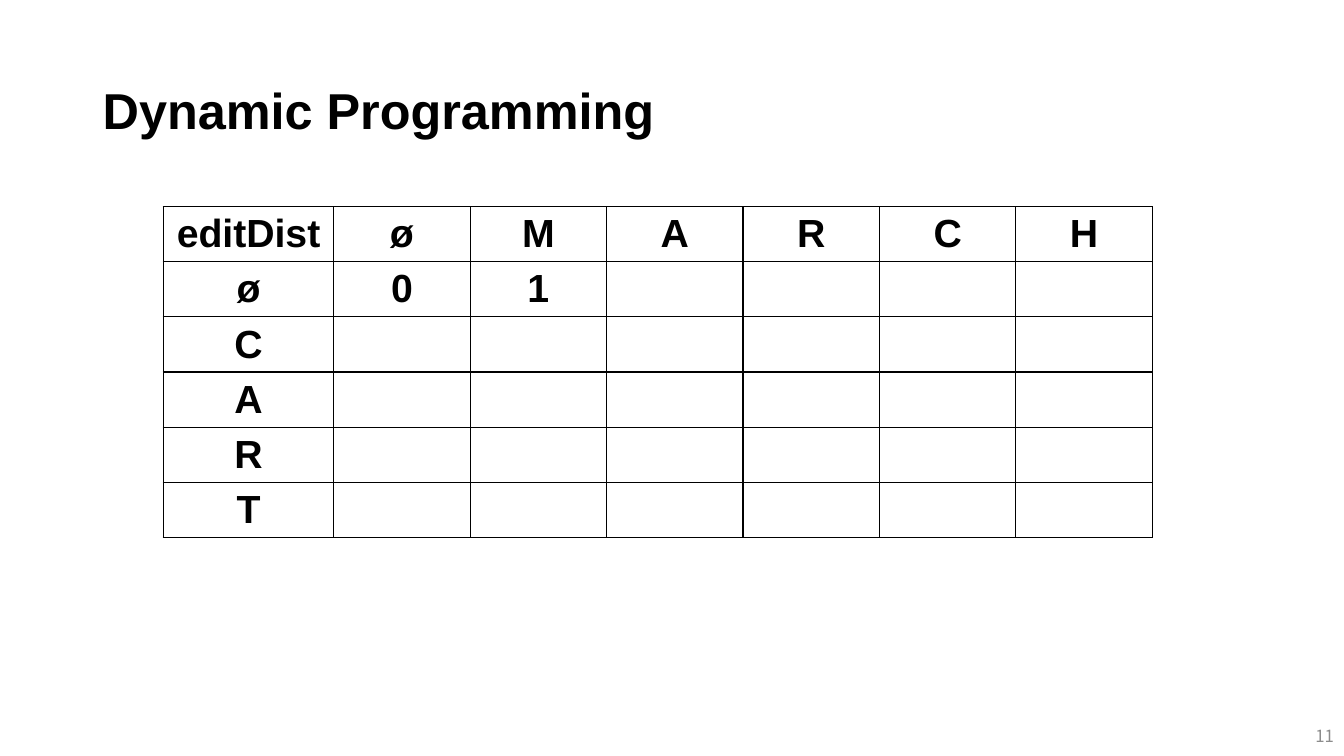
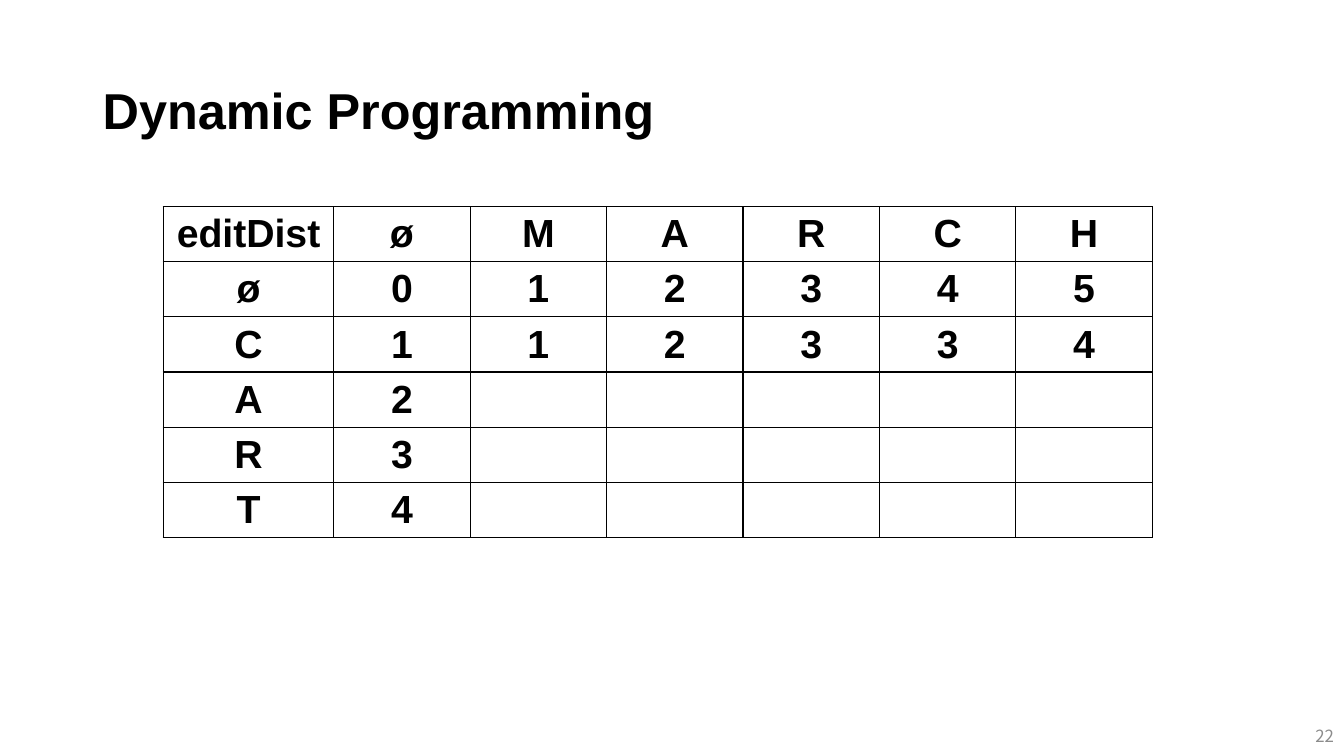
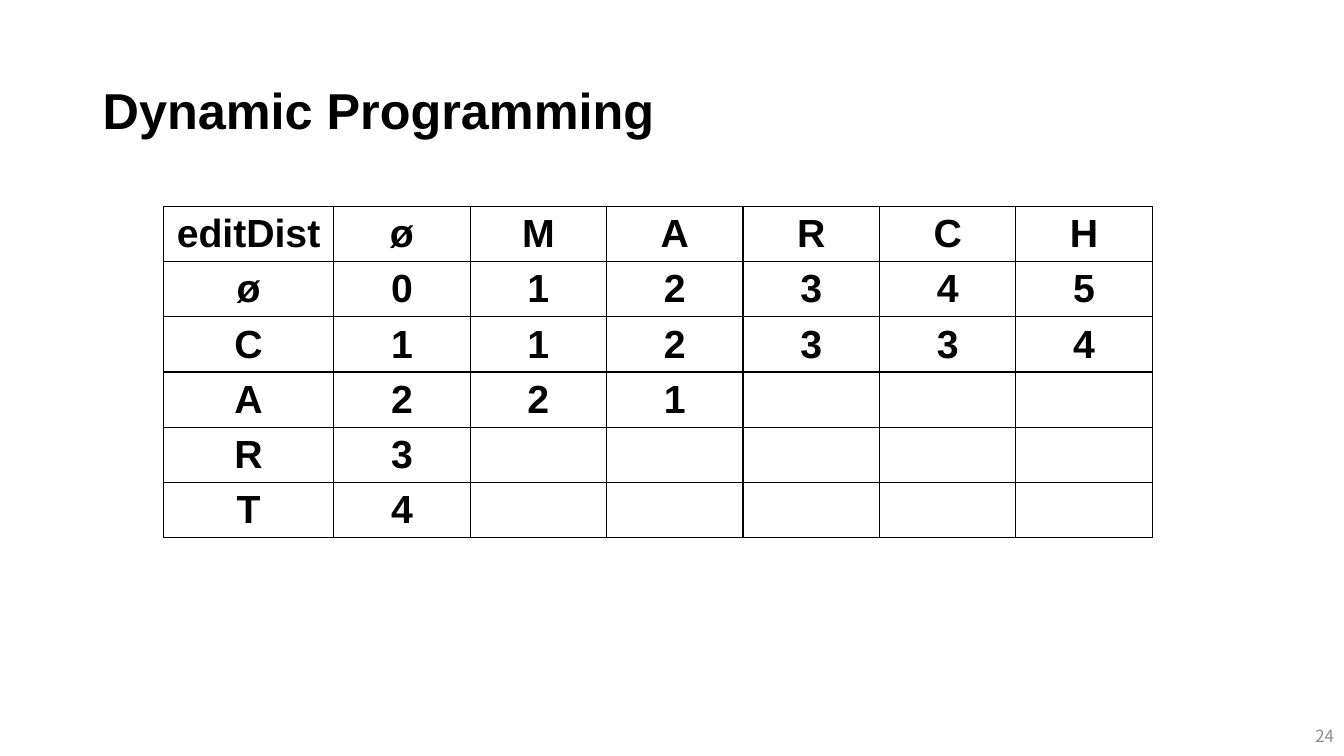
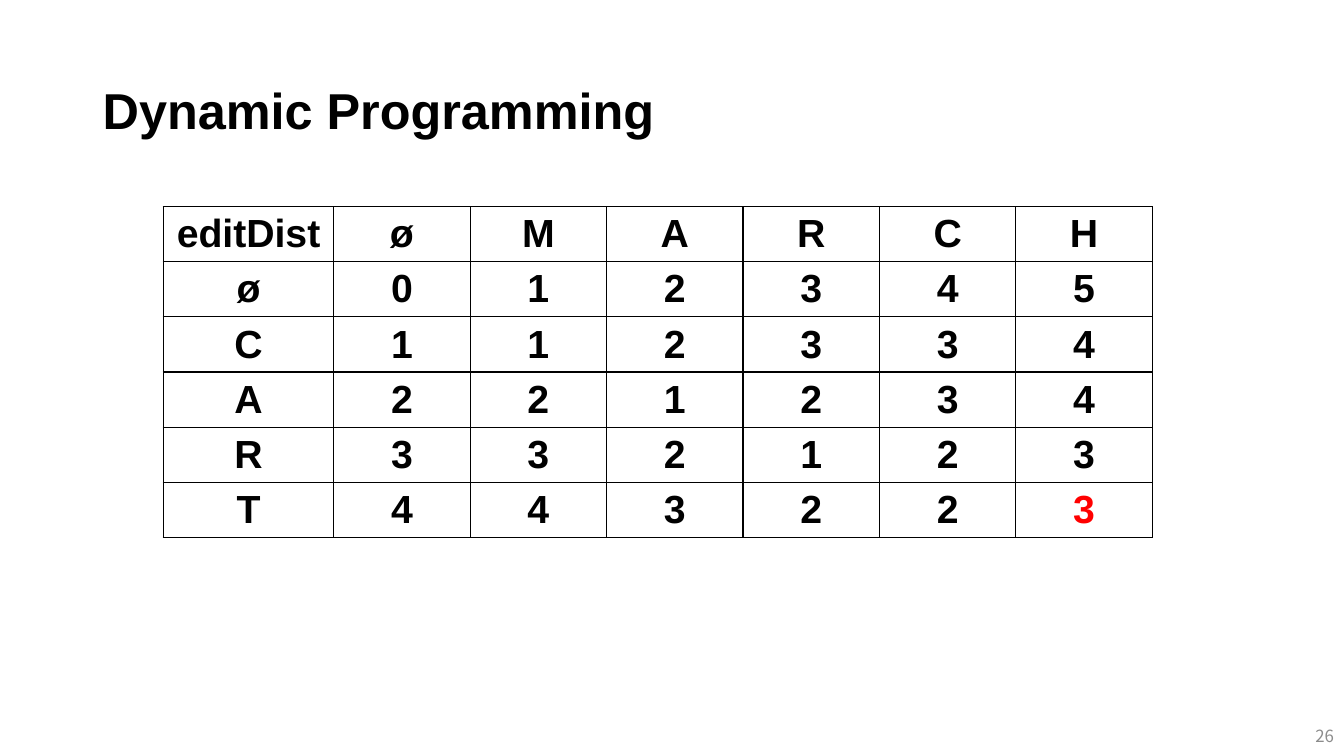
from pptx import Presentation, util as u
from pptx.dml.color import RGBColor
from pptx.enum import text
from pptx.oxml import parse_xml
from pptx.oxml.ns import nsdecls

# Shared look
BLACK, GREY, RED = "000000", "8C8C8C", "FF0000"
HEADING_FONT, NUMBER_FONT = "Arial", "Noto Sans CJK KR"
MIDDLE = text.MSO_ANCHOR.MIDDLE
ALIGN = text.PP_ALIGN

# Table geometry
TABLE_LEFT, TABLE_TOP, TABLE_WIDTH, TABLE_HEIGHT = 1.62, 2.05, 9.81, 3.2
LABEL_WIDTH = 1.69

# Edit distances between the prefixes of CART (rows) and MARCH (columns)
COLUMN_LABELS = ["editDist", *"øMARCH"]
ROW_LABELS = "øCART"
DISTANCES = ["012345", "112334", "221234", "332123", "443223"]

# Page number and how many distances each row shows
STEPS = [
    (11, [2, 0, 0, 0, 0]),
    (22, [6, 6, 1, 1, 1]),
    (24, [6, 6, 3, 1, 1]),
    (26, [6, 6, 6, 6, 6]),
]


def add_span(para, content, size, font, color, bold=False):
    span = para.add_run()
    span.text = content
    span.font.size = u.Pt(size)
    span.font.name = font
    span.font.bold = bold
    span.font.color.rgb = RGBColor.from_string(color)


def add_box(page, left, top, width, height):
    box = page.shapes.add_textbox(*map(u.Inches, (left, top, width, height)))
    box.text_frame.word_wrap = True
    box.text_frame.vertical_anchor = MIDDLE
    return box.text_frame.paragraphs[0]


deck = Presentation()
deck.slide_width, deck.slide_height = u.Inches(13.33), u.Inches(7.5)

for number, shown in STEPS:
    page = deck.slides.add_slide(deck.slide_layouts[6])

    # Title
    para = add_box(page, 0.92, 0.4, 11.5, 1.45)
    para.line_spacing = 0.9
    add_span(para, "Dynamic Programming", 36, HEADING_FONT, BLACK, bold=True)

    # Page number
    para = add_box(page, 10.33, 7.1, 3, 0.4)
    para.alignment = ALIGN.RIGHT
    add_span(para, str(number), 12, NUMBER_FONT, GREY)

    # Table contents so far
    rows = [COLUMN_LABELS]
    for label, values, count in zip(ROW_LABELS, DISTANCES, shown):
        rows.append([label, *values[:count].ljust(len(values))])
    last_row, last_column = len(rows) - 1, len(COLUMN_LABELS) - 1

    # Table grid
    frame = page.shapes.add_table(
        len(rows), len(COLUMN_LABELS),
        *map(u.Inches, (TABLE_LEFT, TABLE_TOP, TABLE_WIDTH, TABLE_HEIGHT)))
    table = frame.table
    table.first_row = table.horz_banding = False
    for index, column in enumerate(table.columns):
        value_width = (TABLE_WIDTH - LABEL_WIDTH) / last_column
        column.width = u.Inches(value_width if index else LABEL_WIDTH)

    # Table cells
    for r, row in enumerate(rows):
        for c, content in enumerate(row):
            cell = table.cell(r, c)
            cell.vertical_anchor = MIDDLE
            cell.margin_top = cell.margin_bottom = u.Inches(0.04)
            for side in ("lnL", "lnR", "lnT", "lnB"):
                cell._tc.get_or_add_tcPr().append(parse_xml(
                    f'<a:{side} {nsdecls("a")} w="{u.Pt(1)}"><a:solidFill>'
                    f'<a:srgbClr val="{BLACK}"/></a:solidFill></a:{side}>'))
            cell.fill.background()
            if content.strip():
                para = cell.text_frame.paragraphs[0]
                para.alignment = ALIGN.CENTER
                is_answer = (r, c) == (last_row, last_column)
                add_span(para, content, 28, HEADING_FONT,
                         RED if is_answer else BLACK, bold=True)

deck.save("out.pptx")
